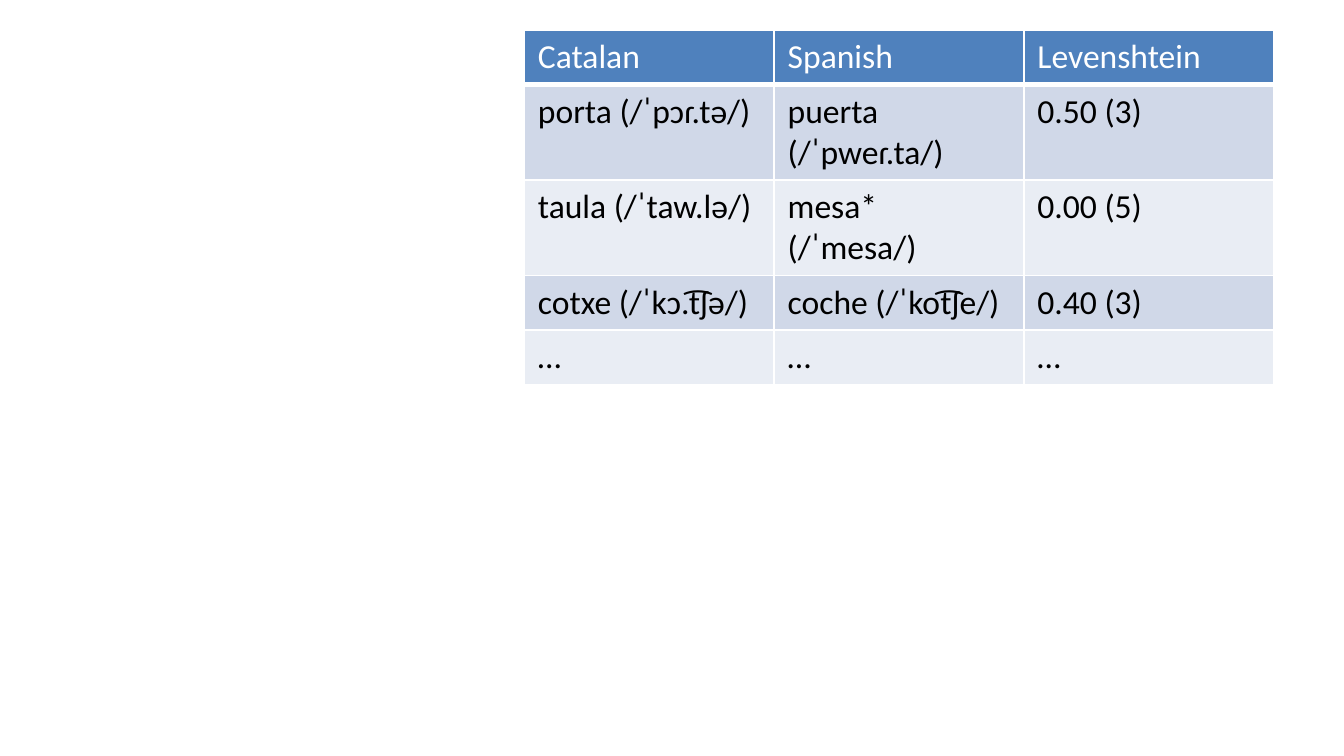
from lxml.etree import SubElement
from pptx import Presentation
from pptx.dml.color import RGBColor
from pptx.oxml.ns import qn
from pptx.util import Pt

WHITE = RGBColor(0xFF, 0xFF, 0xFF)
BLACK = RGBColor(0x00, 0x00, 0x00)
HEADER_BLUE = RGBColor(0x4F, 0x81, 0xBD)
BAND_DARK = RGBColor(0xD0, 0xD8, 0xE8)
BAND_LIGHT = RGBColor(0xE9, 0xED, 0xF4)

FONT = "Calibri"
COLUMN_WIDTH = 133.8
ONE_LINE, TWO_LINES = 29.2, 51.1

# Row height and the words of each row
WORD_PAIRS = [
    (ONE_LINE, ["Catalan", "Spanish", "Levenshtein"]),
    (TWO_LINES, ["porta (/ˈpɔɾ.tə/)", "puerta (/ˈpweɾ.ta/)", "0.50 (3)"]),
    (TWO_LINES, ["taula (/ˈtaw.lə/)", "mesa* (/ˈmesa/)", "0.00 (5)"]),
    (ONE_LINE, ["cotxe (/ˈkɔ.t͡ʃə/)", "coche (/ˈkot͡ʃe/)", "0.40 (3)"]),
    (ONE_LINE, ["…", "…", "…"]),
]


def add_borders(cell, bottom_width):
    properties = cell._tc.get_or_add_tcPr()
    for side, width in (("L", 1), ("R", 1), ("T", 1), ("B", bottom_width)):
        border = SubElement(properties, qn(f"a:ln{side}"), w=str(Pt(width)))
        fill = SubElement(border, qn("a:solidFill"))
        SubElement(fill, qn("a:srgbClr"), val=str(WHITE))


def fill_cell(cell, words, background, text_color, bottom_width):
    add_borders(cell, bottom_width)
    cell.fill.solid()
    cell.fill.fore_color.rgb = background
    run = cell.text_frame.paragraphs[0].add_run()
    run.text = words
    run.font.name = FONT
    run.font.size = Pt(18)
    run.font.bold = False
    run.font.color.rgb = text_color


def add_distance_table(slide, left, top):
    column_count = len(WORD_PAIRS[0][1])
    total_height = sum(height for height, _ in WORD_PAIRS)
    distances = slide.shapes.add_table(
        len(WORD_PAIRS), column_count, Pt(left), Pt(top),
        Pt(COLUMN_WIDTH * column_count), Pt(total_height)).table
    for column in distances.columns:
        column.width = Pt(COLUMN_WIDTH)

    for row_index, (height, entries) in enumerate(WORD_PAIRS):
        distances.rows[row_index].height = Pt(height)
        if row_index == 0:
            style = (HEADER_BLUE, WHITE, 3)
        else:
            style = (BAND_DARK if row_index % 2 else BAND_LIGHT, BLACK, 1)
        for column_index, words in enumerate(entries):
            fill_cell(distances.cell(row_index, column_index), words, *style)


def main():
    presentation = Presentation()
    presentation.slide_width = Pt(720)
    presentation.slide_height = Pt(405)
    slide = presentation.slides.add_slide(presentation.slide_layouts[6])

    # Word pairs with their edit distance
    add_distance_table(slide, left=281, top=16)

    presentation.save("out.pptx")


if __name__ == "__main__":
    main()
